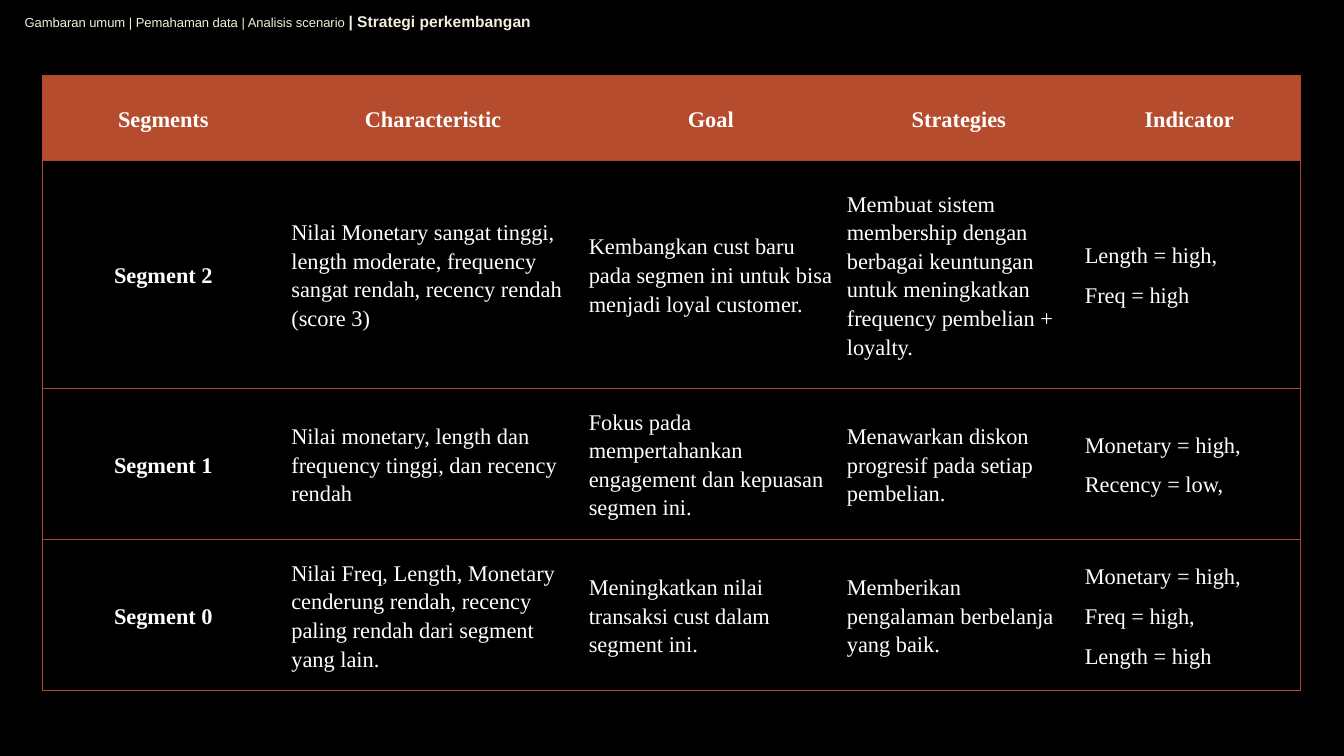
from lxml import etree
from pptx import Presentation
from pptx.dml.color import RGBColor
from pptx.enum.text import MSO_ANCHOR, PP_ALIGN
from pptx.oxml.ns import qn
from pptx.util import Inches, Pt

CENTER, LEFT = PP_ALIGN.CENTER, PP_ALIGN.LEFT
MIDDLE = MSO_ANCHOR.MIDDLE
BLACK, WHITE, CREAM = "000000", "FFFFFF", "F4EEDC"
RUST, BORDER = "B54C2E", "AD492B"


def add_run(p, text, font, size, color, bold):
    r = p.add_run()
    r.text = text
    r.font.name = font
    r.font.size = Pt(size)
    r.font.bold = bold
    r.font.color.rgb = RGBColor.from_string(color)


def add_border(cell, side, visible):
    tcPr = cell._tc.get_or_add_tcPr()
    ln = etree.SubElement(tcPr, qn("a:" + side), w=str(Pt(0.75)))
    if visible:
        fill = etree.SubElement(ln, qn("a:solidFill"))
        etree.SubElement(fill, qn("a:srgbClr"), val=BORDER)
    else:
        etree.SubElement(ln, qn("a:noFill"))


prs = Presentation()
prs.slide_width, prs.slide_height = Inches(13.33), Inches(7.5)
s = prs.slides.add_slide(prs.slide_layouts[6])
s.background.fill.solid()
s.background.fill.fore_color.rgb = RGBColor.from_string(BLACK)

sp = s.shapes.add_textbox(Inches(0.05), Inches(0.06), Inches(5.41), Inches(0.34))
tf = sp.text_frame
tf.word_wrap = True
tf.vertical_anchor = MIDDLE
p = tf.paragraphs[0]
p.alignment = CENTER
p.line_spacing = 0.8
add_run(p, "Gambaran umum | Pemahaman data | Analisis scenario ", "Arial", 9.3, CREAM, False)
add_run(p, "| Strategi perkembangan", "Arial", 11.1, CREAM, True)

rows = [
    ["Segments", "Characteristic", "Goal", "Strategies", "Indicator"],
    ["Segment 2",
     "Nilai Monetary sangat tinggi, length moderate, frequency sangat rendah, recency rendah (score 3)",
     "Kembangkan cust baru pada segmen ini untuk bisa menjadi loyal customer.",
     "Membuat sistem membership dengan berbagai keuntungan untuk meningkatkan frequency pembelian + loyalty.",
     "Length = high,\nFreq = high"],
    ["Segment 1",
     "Nilai monetary, length dan frequency tinggi, dan recency rendah",
     "Fokus pada mempertahankan engagement dan kepuasan segmen ini.",
     "Menawarkan diskon progresif pada setiap pembelian.",
     "Monetary = high,\nRecency = low,"],
    ["Segment 0",
     "Nilai Freq, Length, Monetary cenderung rendah, recency paling rendah dari segment yang lain.",
     "Meningkatkan nilai transaksi cust dalam segment ini.",
     "Memberikan pengalaman berbelanja yang baik.",
     "Monetary = high,\nFreq = high,\nLength = high"],
]
widths = [2.4, 2.95, 2.56, 2.36, 2.21]
heights = [0.84, 2.26, 1.5, 1.5]

table = s.shapes.add_table(len(rows), len(widths), Inches(0.42), Inches(0.75),
                           Inches(sum(widths)), Inches(sum(heights))).table
table.horz_banding = False
for column, width in zip(table.columns, widths):
    column.width = Inches(width)
for row, height in zip(table.rows, heights):
    row.height = Inches(height)

for i, texts in enumerate(rows):
    for j, text in enumerate(texts):
        cell = table.cell(i, j)
        cell.vertical_anchor = MIDDLE
        cell.margin_left = cell.margin_right = Inches(0.07)
        cell.margin_top = cell.margin_bottom = 0
        add_border(cell, "lnL", j == 0)
        add_border(cell, "lnR", j == len(widths) - 1)
        add_border(cell, "lnT", True)
        add_border(cell, "lnB", True)
        if i == 0:
            cell.fill.solid()
            cell.fill.fore_color.rgb = RGBColor.from_string(RUST)
        else:
            cell.fill.background()
        heading = i == 0 or j == 0
        tf = cell.text_frame
        for k, line in enumerate(text.split("\n")):
            p = tf.add_paragraph() if k else tf.paragraphs[0]
            p.alignment = CENTER if heading else LEFT
            p.line_spacing = 1.15
            p.space_after = Pt(8)
            add_run(p, line, "Times New Roman", 16, WHITE, heading)

prs.save("out.pptx")
